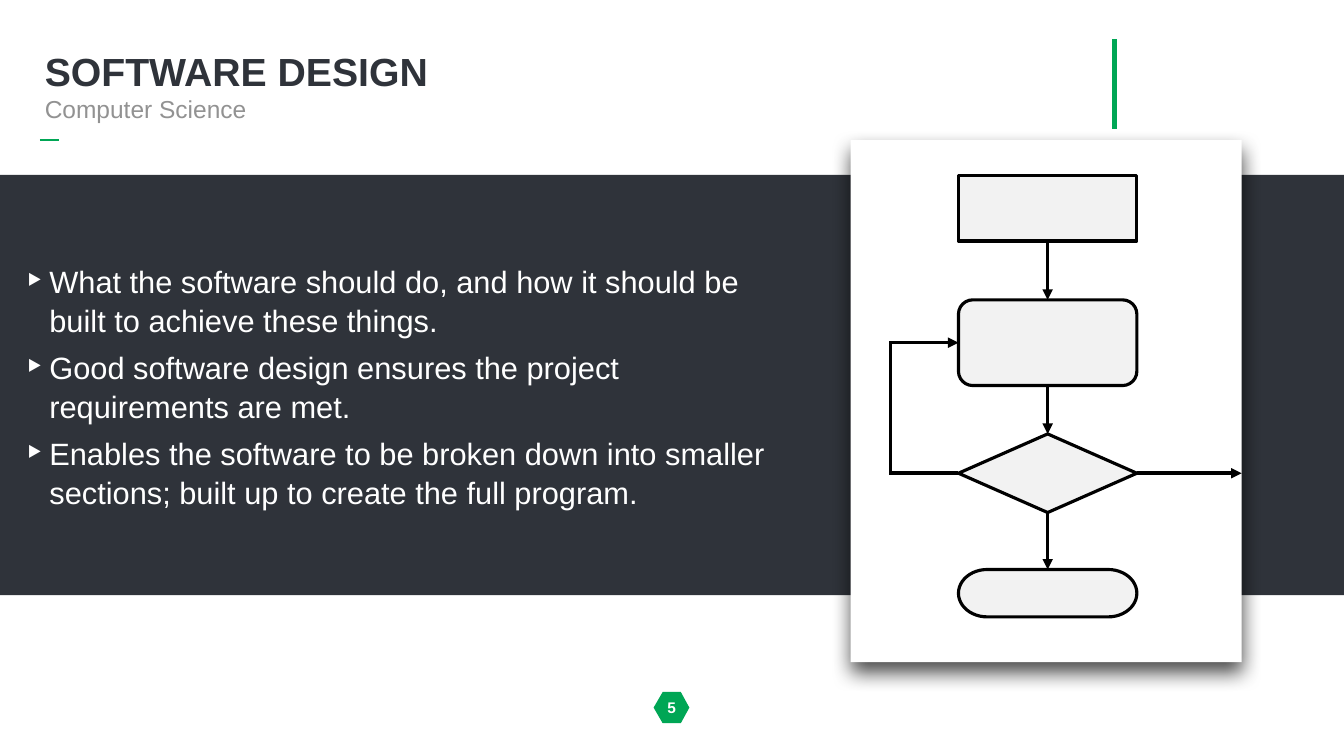
from typing import NamedTuple

from lxml.etree import SubElement
from pptx import Presentation
from pptx.dml.color import RGBColor
from pptx.enum.shapes import MSO_CONNECTOR, MSO_SHAPE as Preset
from pptx.enum.text import MSO_ANCHOR as Anchor, PP_ALIGN as Align
from pptx.oxml.ns import qn
from pptx.util import Inches, Pt

GREEN, DARK, WHITE, BLACK = "00A655", "2F333A", "FFFFFF", "000000"
GREY, PALE = "929292", "F2F2F2"
FONT = "Arial"
CENTRE, STEP_WIDTH = 20.79, 3.54
STEP_LEFT, STEP_RIGHT = CENTRE - STEP_WIDTH / 2, CENTRE + STEP_WIDTH / 2
LOOP_X, CARD_RIGHT = 17.67, 24.64


class Step(NamedTuple):
    preset: Preset
    top: float
    height: float

    @property
    def bottom(self) -> float:
        return self.top + self.height

    @property
    def middle(self) -> float:
        return self.top + self.height / 2


class Link(NamedTuple):
    start: tuple[float, float]
    end: tuple[float, float]
    arrow: bool = True


class Label(NamedTuple):
    text: str
    box: tuple[float, float, float, float]
    size: float
    color: str
    bold: bool = False
    align: Align = Align.LEFT
    spacing: float = 1.0


STEPS = [
    Step(Preset.FLOWCHART_PROCESS, 3.49, 1.29),
    Step(Preset.FLOWCHART_ALTERNATE_PROCESS, 5.95, 1.7),
    Step(Preset.FLOWCHART_DECISION, 8.61, 1.56),
    Step(Preset.FLOWCHART_TERMINATOR, 11.3, 0.94),
]
LABELS = [
    Label("5", (12.97, 13.78, 0.72, 0.52), 22, WHITE, True, Align.CENTER),
    Label("SOFTWARE DESIGN", (0.79, 0.83, 20.23, 1.25), 56, DARK, True, spacing=0.9),
    Label("Computer Science", (0.79, 1.82, 20.23, 0.69), 35, GREY),
]
POINTS = [
    "What the software should do, and how it should be built to achieve these things.",
    "Good software design ensures the project requirements are met.",
    "Enables the software to be broken down into smaller sections; built up to create the full program.",
]
HEXAGON = [(13.15, 13.73), (13.51, 13.73), (13.68, 14.04),
           (13.51, 14.35), (13.15, 14.35), (12.97, 14.04)]


def rgb(value: str) -> RGBColor:
    return RGBColor.from_string(value)


def paint(shape, fill: str, outline: float = 0) -> None:
    shape.shadow.inherit = False
    shape.fill.solid()
    shape.fill.fore_color.rgb = rgb(fill)
    if outline:
        shape.line.color.rgb = rgb(BLACK)
        shape.line.width = Pt(outline)
    else:
        shape.line.fill.background()


def add_block(shapes, preset: Preset, box, fill: str, outline: float = 0):
    block = shapes.add_shape(preset, *map(Inches, box))
    paint(block, fill, outline)
    return block


def add_line(shapes, link: Link, color: str, width: float) -> None:
    line = shapes.add_connector(MSO_CONNECTOR.STRAIGHT, *map(Inches, link.start + link.end))
    line.line.color.rgb = rgb(color)
    line.line.width = Pt(width)
    if link.arrow:
        SubElement(line.line._get_or_add_ln(), qn("a:tailEnd"), type="triangle")
    SubElement(line._element.spPr, qn("a:effectLst"))


def add_hexagon(shapes) -> None:
    builder = shapes.build_freeform(*map(Inches, HEXAGON[0]))
    builder.add_line_segments([tuple(map(Inches, corner)) for corner in HEXAGON[1:]], close=True)
    paint(builder.convert_to_shape(), GREEN)


def add_run(paragraph, text: str, size: float, color: str, bold: bool = False) -> None:
    run = paragraph.add_run()
    run.text = text
    run.font.name, run.font.size, run.font.bold = FONT, Pt(size), bold
    run.font.color.rgb = rgb(color)


def add_label(shapes, label: Label) -> None:
    frame = shapes.add_textbox(*map(Inches, label.box)).text_frame
    frame.word_wrap = True
    frame.vertical_anchor = Anchor.MIDDLE
    paragraph = frame.paragraphs[0]
    paragraph.alignment = label.align
    paragraph.line_spacing = label.spacing
    add_run(paragraph, label.text, label.size, label.color, label.bold)


def add_points(shapes) -> None:
    frame = shapes.add_textbox(*map(Inches, (0.44, 5.1, 15, 4.94))).text_frame
    frame.word_wrap = True
    frame.margin_left = frame.margin_right = Inches(0.08)
    frame.margin_top = frame.margin_bottom = Inches(0.08)
    for index, point in enumerate(POINTS):
        paragraph = frame.add_paragraph() if index else frame.paragraphs[0]
        paragraph.line_spacing = 1.05
        paragraph.space_before = Pt(6 if index else 0)
        paragraph.space_after = Pt(6)
        properties = paragraph._p.get_or_add_pPr()
        properties.set("marL", str(Inches(0.46)))
        properties.set("indent", str(Inches(-0.46)))
        SubElement(properties, qn("a:buSzPct"), val="145000")
        SubElement(properties, qn("a:buFont"), typeface=FONT)
        SubElement(properties, qn("a:buChar"), char="‣")
        add_run(paragraph, point, 44, WHITE)


def add_card(shapes) -> None:
    card = add_block(shapes, Preset.RECTANGLE, (16.88, 2.78, 7.76, 10.36), WHITE)
    effects = card._element.spPr.find(qn("a:effectLst"))
    shadow = SubElement(effects, qn("a:outerShdw"), blurRad=str(Pt(28)),
                        dist=str(Pt(14)), dir="5400000", rotWithShape="0")
    tint = SubElement(shadow, qn("a:srgbClr"), val=BLACK)
    SubElement(tint, qn("a:alpha"), val="70000")


def add_flowchart(shapes) -> None:
    add_card(shapes)
    for step in STEPS:
        add_block(shapes, step.preset, (STEP_LEFT, step.top, STEP_WIDTH, step.height), PALE, 4.5)
    action, decision = STEPS[1:3]
    links = [Link((CENTRE, above.bottom), (CENTRE, below.top))
             for above, below in zip(STEPS, STEPS[1:])]
    links += [
        Link((STEP_RIGHT, decision.middle), (CARD_RIGHT, decision.middle)),
        Link((STEP_LEFT, decision.middle), (LOOP_X, decision.middle), False),
        Link((LOOP_X, action.middle), (STEP_LEFT, action.middle)),
        Link((LOOP_X, decision.middle + 0.03), (LOOP_X, action.middle - 0.03), False),
    ]
    for link in links:
        add_line(shapes, link, BLACK, 5)


def main() -> None:
    """Build the software design slide."""
    deck = Presentation()
    deck.slide_width, deck.slide_height = Inches(26.67), Inches(15)
    shapes = deck.slides.add_slide(deck.slide_layouts[6]).shapes
    add_line(shapes, Link((22.11, 0.78), (22.11, 2.55), False), GREEN, 7)
    add_block(shapes, Preset.RECTANGLE, (0, 3.47, 26.67, 8.34), DARK)
    add_hexagon(shapes)
    add_line(shapes, Link((0.79, 2.78), (1.18, 2.78), False), GREEN, 2)
    for label in LABELS:
        add_label(shapes, label)
    add_points(shapes)
    add_flowchart(shapes.add_group_shape().shapes)
    deck.save("out.pptx")


if __name__ == "__main__":
    main()
